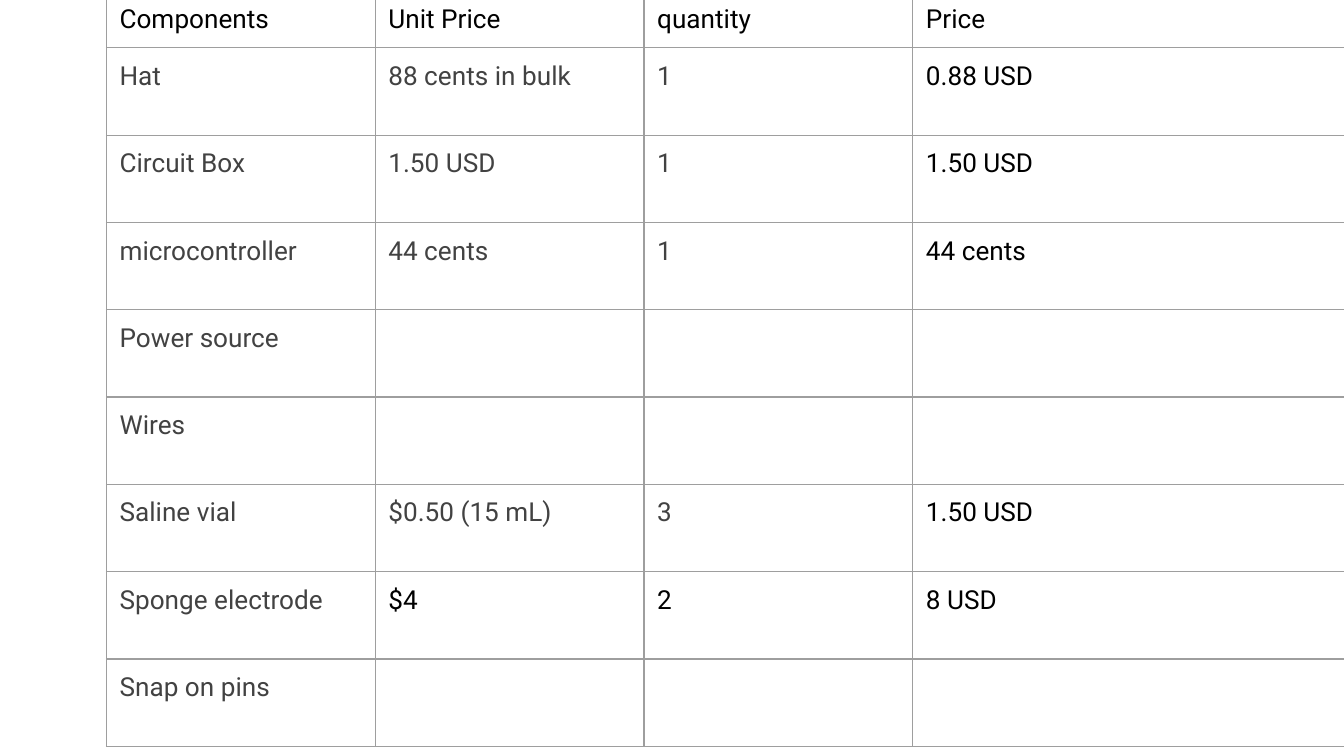
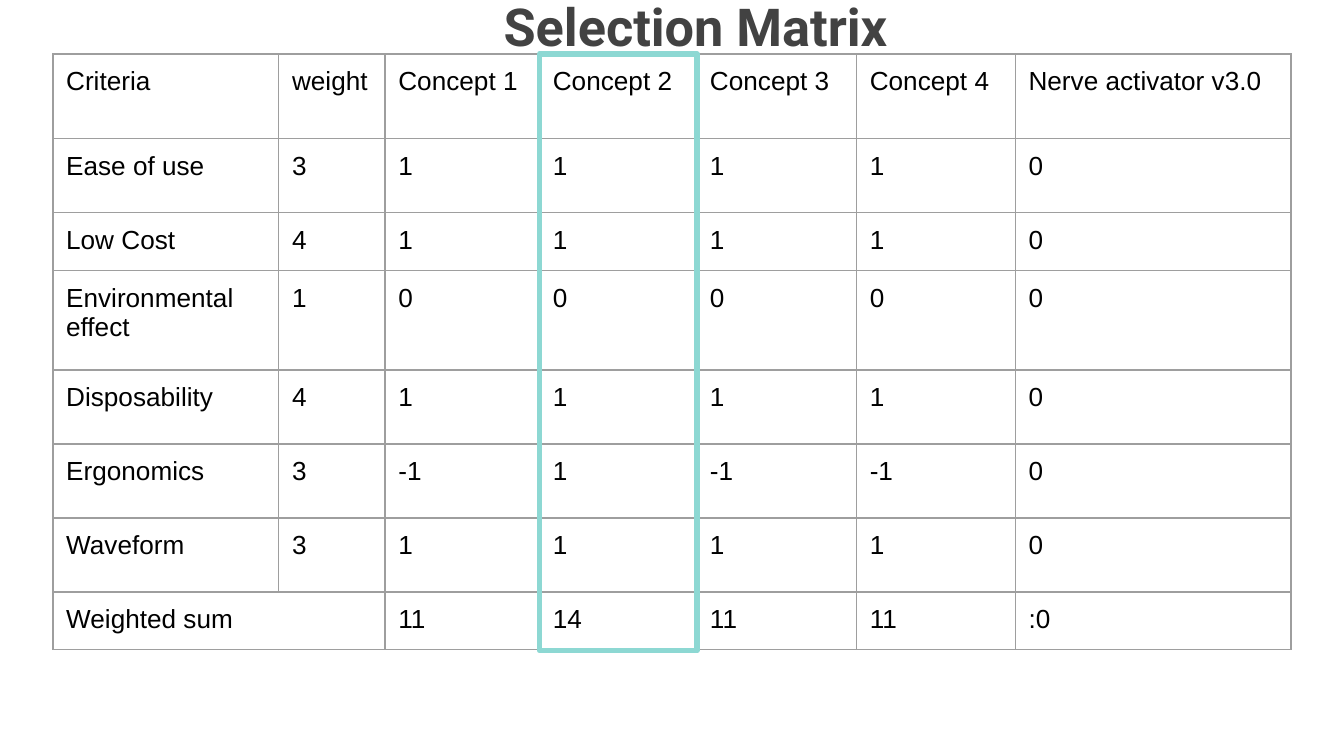
"""Build the component cost and concept selection slides."""
from dataclasses import dataclass

from lxml import etree
from pptx import Presentation
from pptx import util as u
from pptx.dml.color import RGBColor
from pptx.enum import shapes, text
from pptx.oxml.ns import qn


@dataclass(frozen=True)
class Theme:
    """Colours, fonts and sizes shared by the slides."""
    ink: str = "000000"
    muted: str = "424242"
    grid: str = "9E9E9E"
    accent: str = "8DD8D3"
    display: str = "Roboto"
    plain: str = "Arial"
    title_size: int = 28
    body_size: int = 14
    grid_width: float = 0.75
    accent_width: float = 3
    inset: float = 0.25


T = Theme()

COST_COLS = [5.08, 5.08, 5.08, 8.18]
COST_ROWS = [1.07] + [1.65] * 8
COSTS = [
    ["Components", "Unit Price", "quantity", "Price"],
    ["Hat", "88 cents in bulk", "1", "0.88 USD"],
    ["Circuit Box", "1.50 USD", "1", "1.50 USD"],
    ["microcontroller", "44 cents", "1", "44 cents"],
    ["Power source", "", "", ""],
    ["Wires", "", "", ""],
    ["Saline vial", "$0.50 (15 mL)", "3", "1.50 USD"],
    ["Sponge electrode", "$4", "2", "8 USD"],
    ["Snap on pins", "", "", ""],
]
SPONGE_ROW = 7

MATRIX_COLS = [4.27, 2.01, 2.92, 2.97, 3.02, 3, 5.21]
MATRIX_ROWS = [1.6, 1.4, 0.91, 1.88, 1.4, 1.4, 1.4, 0.91]
MATRIX = [
    ["Criteria", "weight", "Concept 1", "Concept 2", "Concept 3", "Concept 4",
     "Nerve activator v3.0"],
    ["Ease of use", "3", "1", "1", "1", "1", "0"],
    ["Low Cost", "4", "1", "1", "1", "1", "0"],
    ["Environmental effect", "1", "0", "0", "0", "0", "0"],
    ["Disposability", "4", "1", "1", "1", "1", "0"],
    ["Ergonomics", "3", "-1", "1", "-1", "-1", "0"],
    ["Waveform", "3", "1", "1", "1", "1", "0"],
    ["Weighted sum", "", "11", "14", "11", "11", ":0"],
]


def set_text(tf, content, font=T.plain, size=T.body_size, color=T.ink,
             bold=False, align=None, after=0):
    """Write one formatted paragraph into a text frame."""
    p = tf.paragraphs[0]
    p.alignment = align
    p.space_after = u.Pt(after)
    r = p.add_run()
    r.text = content
    r.font.name = font
    r.font.size = u.Pt(size)
    r.font.bold = bold
    r.font.color.rgb = RGBColor.from_string(color)


def set_insets(box):
    """Give a cell or text frame the common inset on every side."""
    box.margin_left = box.margin_right = u.Cm(T.inset)
    box.margin_top = box.margin_bottom = u.Cm(T.inset)


def add_borders(cell):
    """Draw the grid line on all four sides of a cell."""
    tc_pr = cell._tc.get_or_add_tcPr()
    for i, side in enumerate(("a:lnL", "a:lnR", "a:lnT", "a:lnB")):
        ln = etree.Element(qn(side), w=str(u.Pt(T.grid_width)))
        fill = etree.SubElement(ln, qn("a:solidFill"))
        etree.SubElement(fill, qn("a:srgbClr"), val=T.grid)
        tc_pr.insert(i, ln)


def add_grid(s, left, top, cols, rows, data, style):
    """Add a bordered table, formatting each cell by style(row, column)."""
    frame = s.shapes.add_table(len(rows), len(cols), u.Cm(left), u.Cm(top),
                               u.Cm(sum(cols)), u.Cm(sum(rows)))
    table = frame.table
    table.first_row = table.horz_banding = False
    for col, width in zip(table.columns, cols):
        col.width = u.Cm(width)
    for row, height in zip(table.rows, rows):
        row.height = u.Cm(height)
    for i, line in enumerate(data):
        for j, content in enumerate(line):
            cell = table.cell(i, j)
            set_insets(cell)
            cell.fill.background()
            add_borders(cell)
            if content:
                set_text(cell.text_frame, content, **style(i, j))
    return table


def add_title(s, content, left, top, width, height):
    """Add a centred bold title."""
    sp = s.shapes.add_textbox(u.Cm(left), u.Cm(top), u.Cm(width), u.Cm(height))
    tf = sp.text_frame
    tf.word_wrap = True
    tf.vertical_anchor = text.MSO_ANCHOR.TOP
    set_insets(tf)
    set_text(tf, content, font=T.display, size=T.title_size, color=T.muted,
             bold=True, align=text.PP_ALIGN.CENTER)


def add_highlight(s, left, top, width, height):
    """Outline the chosen column."""
    sp = s.shapes.add_shape(shapes.MSO_SHAPE.RECTANGLE, u.Cm(left), u.Cm(top),
                            u.Cm(width), u.Cm(height))
    sp.shadow.inherit = False
    sp.fill.background()
    sp.line.color.rgb = RGBColor.from_string(T.accent)
    sp.line.width = u.Pt(T.accent_width)


def cost_style(row, col):
    """Mute the component details and keep headings and prices black."""
    detail = row > 0 and (col == 0 or (col < 3 and row != SPONGE_ROW))
    if detail:
        return {"font": T.display, "color": T.muted, "after": 16}
    return {"font": T.display}


def matrix_style(row, col):
    """Use the plain body format in every cell."""
    return {}


def build_costs(s):
    """Fill the component cost slide."""
    add_grid(s, 2.01, -0.18, COST_COLS, COST_ROWS, COSTS, cost_style)


def build_matrix(s):
    """Fill the selection matrix slide."""
    left, top, chosen = 1, 1.02, 3
    add_title(s, "Selection Matrix", 3.38, -0.36, 19.53, 2.77)
    table = add_grid(s, left, top, MATRIX_COLS, MATRIX_ROWS, MATRIX,
                     matrix_style)
    last = len(MATRIX) - 1
    table.cell(last, 0).merge(table.cell(last, 1))
    add_highlight(s, left + sum(MATRIX_COLS[:chosen]), top,
                  MATRIX_COLS[chosen], 11.28)


def main():
    """Build and save the presentation."""
    prs = Presentation()
    prs.slide_width, prs.slide_height = u.Cm(25.4), u.Cm(14.29)
    for build in (build_costs, build_matrix):
        build(prs.slides.add_slide(prs.slide_layouts[6]))
    prs.save("out.pptx")


if __name__ == "__main__":
    main()
